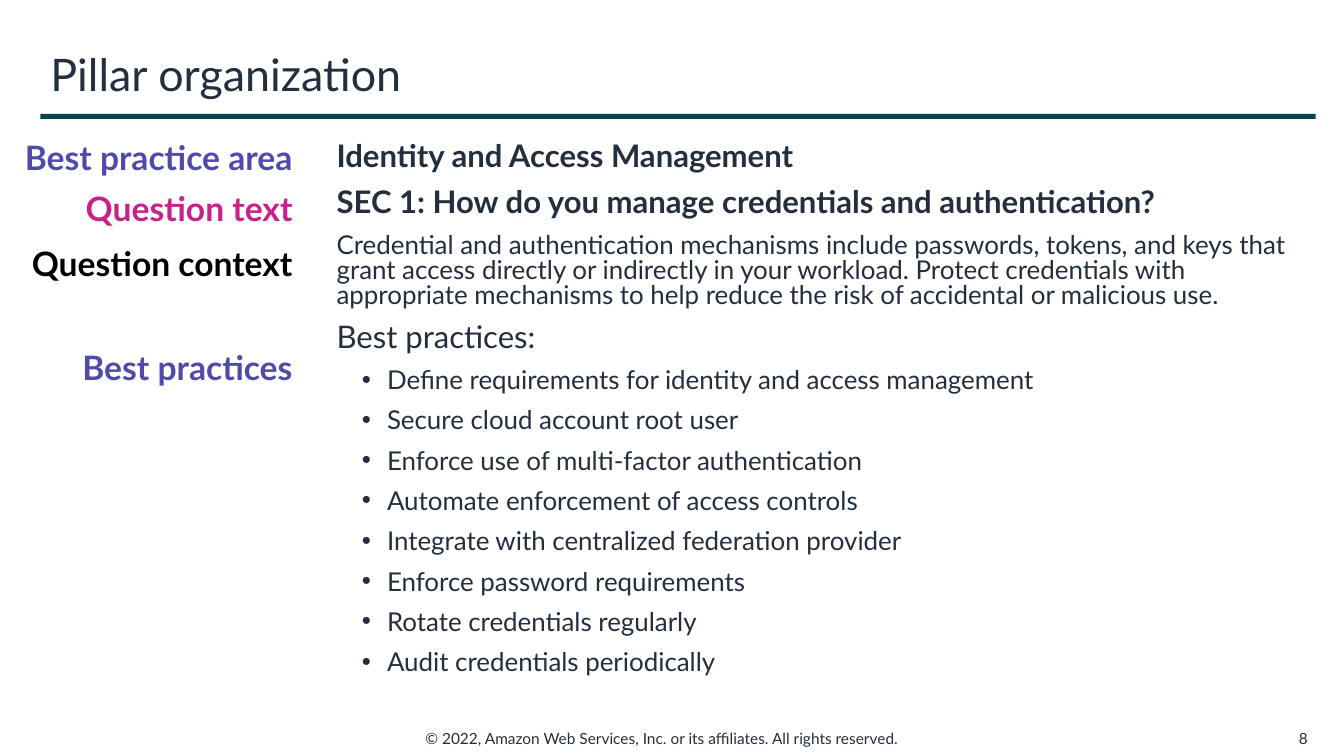
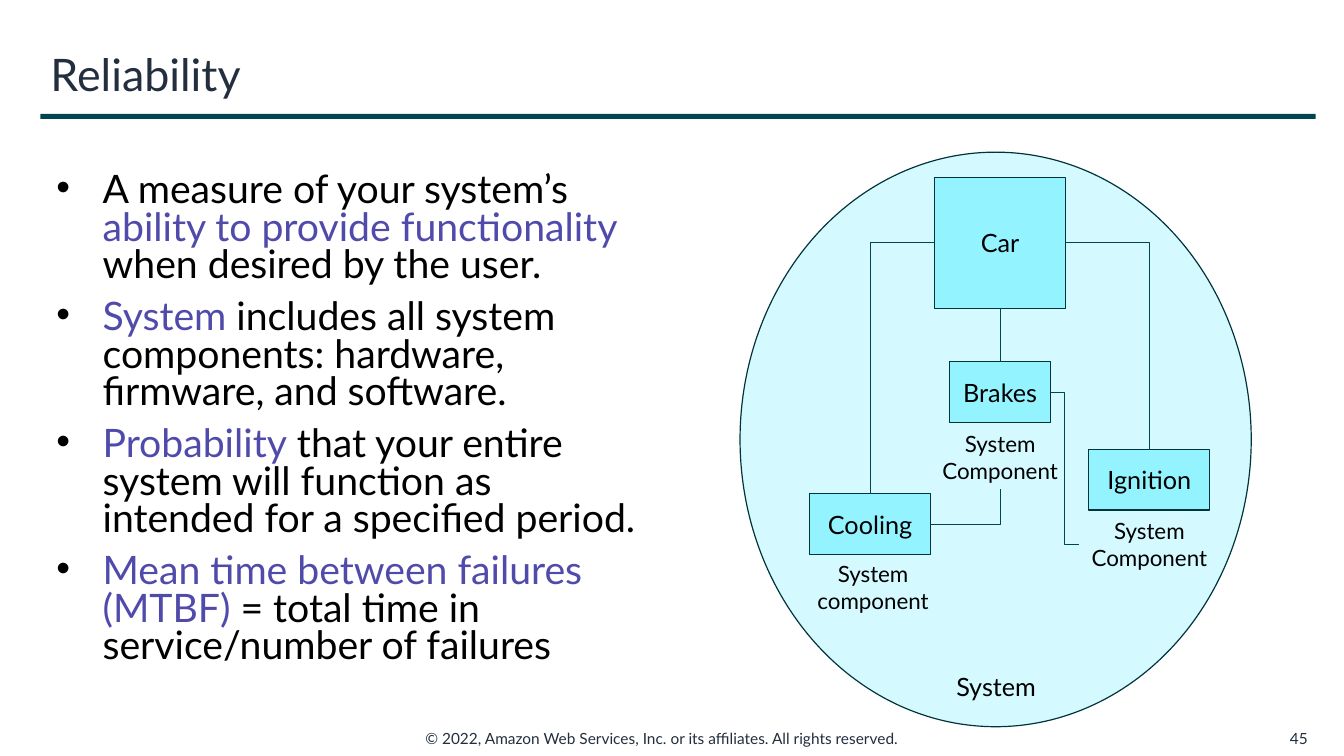
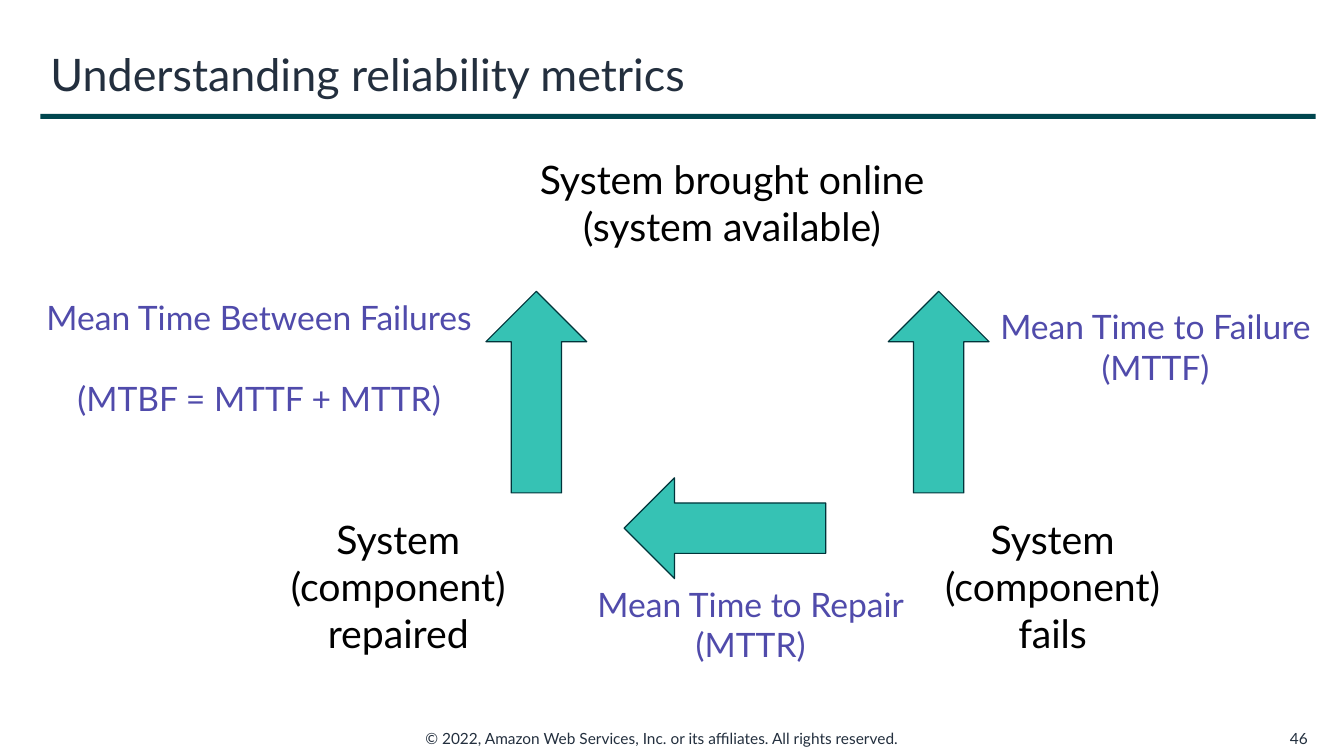
from pptx import Presentation
from pptx.dml.color import RGBColor
from pptx.enum.shapes import MSO_CONNECTOR, MSO_SHAPE
from pptx.enum.text import MSO_ANCHOR, PP_ALIGN
from pptx.oxml.ns import qn
from pptx.util import Inches, Pt
from lxml import etree

LEFT, MID, RIGHT = PP_ALIGN.LEFT, PP_ALIGN.CENTER, PP_ALIGN.RIGHT
TOP, CENTER = MSO_ANCHOR.TOP, MSO_ANCHOR.MIDDLE
RECT, OVAL = MSO_SHAPE.RECTANGLE, MSO_SHAPE.OVAL
UP, BACK = MSO_SHAPE.UP_ARROW, MSO_SHAPE.LEFT_ARROW
STRAIGHT, ELBOW = MSO_CONNECTOR.STRAIGHT, MSO_CONNECTOR.ELBOW

FONT = "Lato"
NAVY, TEAL, EDGE = "232F3E", "00464F", "00343A"
BLACK, WHITE, PURPLE, PINK = "000000", "FFFFFF", "504BAB", "C9208A"
PALE, CYAN, GREEN = "D4FAFF", "93F3FF", "36C2B4"
RIGHTS = "© 2022, Amazon Web Services, Inc. or its affiliates. All rights reserved."


def rgb(code):
    return RGBColor.from_string(code)


def bullet(para, left, color):
    """Hang a round bullet; left is the text indent and hang in inches."""
    indent, hang = left
    props = para._p.get_or_add_pPr()
    props.set("marL", str(Inches(indent)))
    props.set("indent", str(-Inches(hang)))
    fill = etree.SubElement(props, qn("a:buClr"))
    etree.SubElement(fill, qn("a:srgbClr")).set("val", color)
    etree.SubElement(props, qn("a:buFont")).set("typeface", "Arial")
    etree.SubElement(props, qn("a:buChar")).set("char", "•")


class Deck:
    """Holds the shared style and the slide being built."""

    def __init__(self):
        self.prs = Presentation()
        self.prs.slide_width = Inches(13.33)
        self.prs.slide_height = Inches(7.5)
        self.slide = None

    def start(self, title, number):
        """Add a slide with its title, rule, copyright line and number."""
        self.slide = self.prs.slides.add_slide(self.prs.slide_layouts[5])
        self.text((4.12, 7.18, 5.09, 0.29), RIGHTS, 11, NAVY, LEFT, wrap=True)
        self.shape(RECT, (0.4, 1.13, 12.65, 0.05), TEAL)
        self.text((12.54, 7.18, 0.53, 0.29), str(number), 11, NAVY, RIGHT,
                  wrap=True)
        head = self.slide.shapes.title
        head.left, head.top, head.width, head.height = map(
            Inches, (0.4, 0.33, 12.65, 0.8))
        self.label(head.text_frame, title, 32, NAVY, LEFT, CENTER)

    def style(self, para, size, color, bold=False):
        font = para.font
        font.name, font.size, font.bold = FONT, Pt(size), bold
        font.color.rgb = rgb(color)

    def label(self, frame, words, size, color, align, anchor, bold=False):
        frame.text = words
        frame.vertical_anchor = anchor
        for para in frame.paragraphs:
            para.alignment = align
            self.style(para, size, color, bold)

    def frame(self, at):
        box = self.slide.shapes.add_textbox(*map(Inches, at))
        box.text_frame.word_wrap = True
        return box.text_frame

    def text(self, at, words, size, color=BLACK, align=MID, wrap=False):
        frame = self.frame(at)
        frame.word_wrap = wrap
        self.label(frame, words, size, color, align, TOP)
        return frame

    def flow(self, at, paras, before, after):
        """Fill a box with tight paragraphs: (runs, size, color, bold, left)."""
        frame = self.frame(at)
        for i, (runs, size, color, bold, left) in enumerate(paras):
            para = frame.add_paragraph() if i else frame.paragraphs[0]
            para.line_spacing = 0.8
            para.space_before = Pt(before if i else 0)
            para.space_after = Pt(after)
            if left:
                bullet(para, left, color)
            self.style(para, size, color, bold)
            for words, tint in runs:
                run = para.add_run()
                run.text = words
                if tint != color:
                    run.font.color.rgb = rgb(tint)

    def shape(self, kind, at, fill, line=None):
        item = self.slide.shapes.add_shape(kind, *map(Inches, at))
        item.shadow.inherit = False
        item.fill.solid()
        item.fill.fore_color.rgb = rgb(fill)
        if line:
            item.line.color.rgb = rgb(line)
            item.line.width = Pt(0.85)
        else:
            item.line.fill.background()
        return item

    def box(self, at, words, size, fill, line, color=BLACK, align=MID,
            bold=False):
        frame = self.shape(RECT, at, fill, line).text_frame
        frame.word_wrap = True
        self.label(frame, words, size, color, align, CENTER, bold)

    def link(self, start, end, kind=STRAIGHT, corner=False):
        """Join two points; corner gives a single bend, across then along."""
        item = self.slide.shapes.add_connector(
            kind, *map(Inches, (*start, *end)))
        item.line.color.rgb = rgb(TEAL)
        item.line.width = Pt(0.75)
        props = item._element.spPr
        etree.SubElement(props, qn("a:effectLst"))
        if corner:
            props.find(qn("a:prstGeom")).set("prst", "bentConnector2")


def pillar(deck):
    deck.start("Pillar organization", 8)
    intro = [
        ("Identity and Access Management", 22.2, True),
        ("SEC 1: How do you manage credentials and authentication?", 22.2,
         True),
        ("Credential and authentication mechanisms include passwords, tokens, "
         "and keys that grant access directly or indirectly in your workload. "
         "Protect credentials with appropriate mechanisms to help reduce the "
         "risk of accidental or malicious use.", 18.5, False),
        ("Best practices:", 22.2, False),
    ]
    steps = [
        "Define requirements for identity and access management",
        "Secure cloud account root user",
        "Enforce use of multi-factor authentication",
        "Automate enforcement of access controls",
        "Integrate with centralized federation provider",
        "Enforce password requirements",
        "Rotate credentials regularly",
        "Audit credentials periodically",
    ]
    paras = [([(words, NAVY)], size, NAVY, bold, None)
             for words, size, bold in intro]
    paras += [([(words, NAVY)], 18.5, NAVY, False, (0.5, 0.25))
              for words in steps]
    deck.flow((3.24, 1.38, 9.88, 5.57), paras, 5, 6)
    for top, words, color in [
        (1.36, "Best practice area", PURPLE),
        (1.86, "Question text", PINK),
        (2.41, "Question context", BLACK),
        (3.44, "Best practices", PURPLE),
    ]:
        deck.box((0, top, 3, 0.4), words, 24, WHITE, WHITE, color, RIGHT, True)


def system(deck):
    deck.start("Reliability", 45)
    points = [
        [("A measure of your system’s ", BLACK),
         ("ability to provide functionality ", PURPLE),
         ("when desired by the user.", BLACK)],
        [("System", PURPLE),
         (" includes all system components: hardware, firmware, and software.",
          BLACK)],
        [("Probability", PURPLE),
         (" that your entire system will function as intended for a specified "
          "period.", BLACK)],
        [("Mean time between failures (MTBF) ", PURPLE),
         ("= total time in service/number of failures", BLACK)],
    ]
    deck.flow((0.46, 1.67, 6.02, 5.08),
              [(runs, 28, BLACK, False, (0.46, 0.46)) for runs in points],
              10, 0)
    deck.shape(OVAL, (7.34, 1.51, 5.07, 5.7), PALE, EDGE)
    for at, words in [
        ((9.27, 1.76, 1.3, 1.3), "Car"),
        ((8.03, 4.9, 1.2, 0.6), "Cooling"),
        ((10.8, 4.46, 1.2, 0.6), "Ignition"),
        ((9.42, 3.59, 1, 0.6), "Brakes"),
    ]:
        deck.box(at, words, 18, CYAN, EDGE)
    for left, top, words in [
        (7.96, 5.51, "System\ncomponent"),
        (10.7, 5.08, "System\nComponent"),
        (9.22, 4.22, "System\nComponent"),
    ]:
        deck.text((left, top, 1.4, 0.64), words, 16)
    deck.text((9.36, 6.61, 1.04, 0.4), "System", 18)
    deck.link((9.92, 3.06), (9.92, 3.59))
    for start, end in [
        ((9.27, 2.41), (8.63, 4.9)),
        ((10.57, 2.41), (11.4, 4.46)),
        ((9.23, 5.2), (9.92, 4.85)),
    ]:
        deck.link(start, end, ELBOW, corner=True)
    deck.link((10.42, 3.89), (10.7, 5.4), ELBOW)


def metrics(deck):
    deck.start("Understanding reliability metrics", 46)
    for at, words in [
        ((5.2, 1.49, 4.12, 1.04), "System brought online\n(system available)"),
        ((9.24, 5.06, 2.4, 1.51), "System\n(component)\nfails"),
        ((2.75, 5.06, 2.4, 1.51), "System\n(component)\nrepaired"),
    ]:
        deck.text(at, words, 28)
    for kind, at in [
        (UP, (4.82, 2.89, 1, 2)),
        (UP, (8.81, 2.89, 1, 2)),
        (BACK, (6.19, 4.74, 2, 1)),
    ]:
        deck.shape(kind, at, GREEN, EDGE)
    for at, words in [
        ((9.81, 2.99, 3.3, 0.91), "Mean Time to Failure\n(MTTF)"),
        ((5.82, 5.74, 3.25, 0.91), "Mean Time to Repair\n(MTTR)"),
    ]:
        deck.text(at, words, 24, PURPLE)
    between = deck.text((0.32, 2.9, 4.5, 1.31),
                        "Mean Time Between Failures\n(MTBF = MTTF + MTTR)",
                        24, PURPLE)
    between.paragraphs[1].space_before = Pt(28.8)


def main():
    deck = Deck()
    for build in (pillar, system, metrics):
        build(deck)
    deck.prs.save("out.pptx")


if __name__ == "__main__":
    main()
